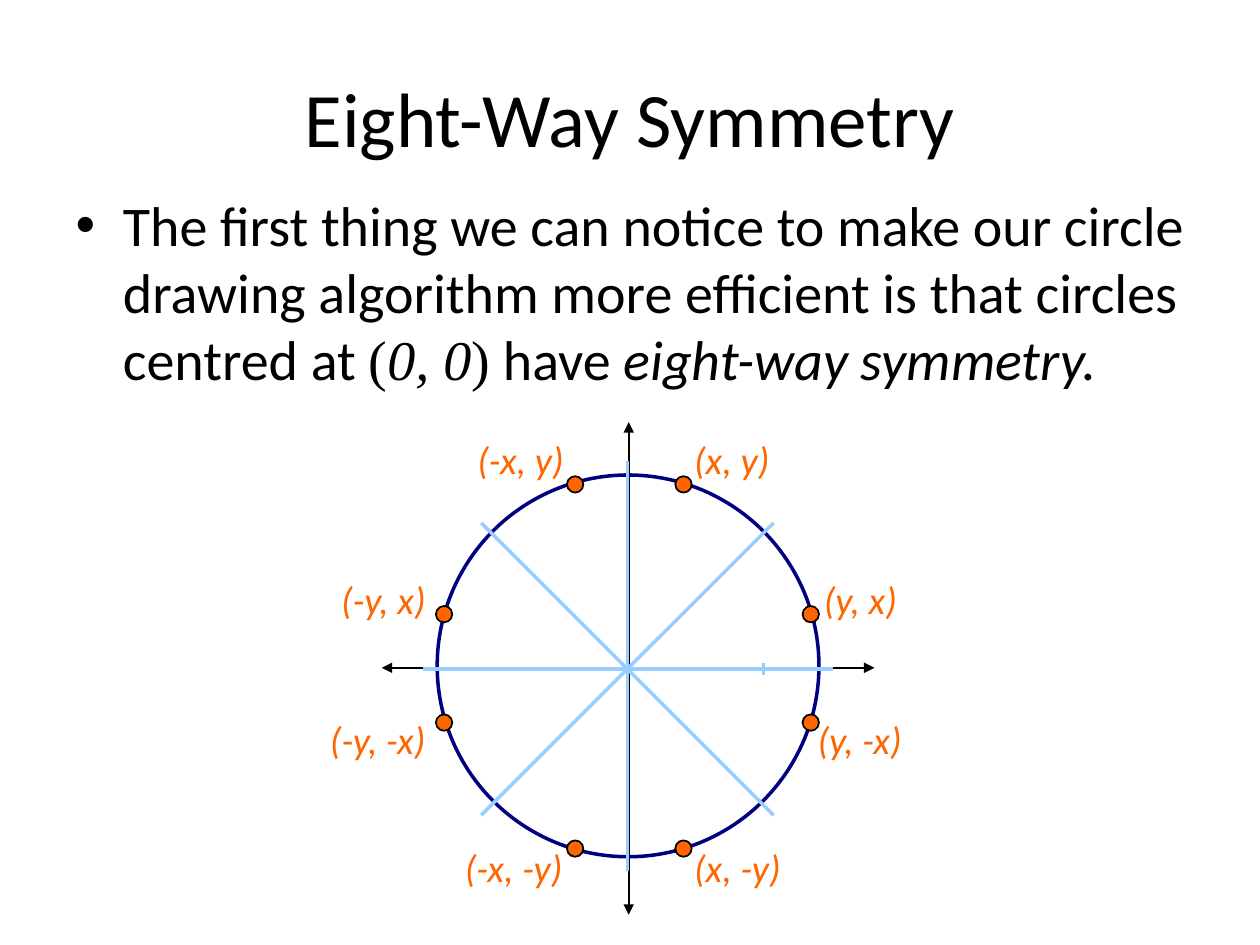
from lxml.etree import SubElement
from pptx import Presentation
from pptx.dml.color import RGBColor
from pptx.enum.shapes import MSO_CONNECTOR as Connector, MSO_SHAPE as Shape
from pptx.enum.text import MSO_AUTO_SIZE as AutoSize, PP_ALIGN as Align
from pptx.oxml.ns import qn
from pptx.util import Pt

PX = 9144  # 100 px to the inch
BLACK, NAVY, ORANGE, SKY = "000000", "000080", "FF6600", "99CCFF"
DOT = 13
LABEL_HEIGHT = 47

# label, dot left and top, label left, top and width
SYMMETRIC_POINTS = [
    ("(x, y)", 284, 43, 289, 6, 85),
    ("(-x, y)", 198, 43, 117, 6, 95),
    ("(y, x)", 385, 146, 392, 117, 85),
    ("(-y, x)", 94, 146, 9, 117, 95),
    ("(y, -x)", 385, 232, 387, 228, 95),
    ("(-y, -x)", 94, 232, 0, 228, 105),
    ("(x, -y)", 284, 332, 289, 330, 95),
    ("(-x, -y)", 198, 332, 107, 330, 105),
]
AXES = [(247, 391, 247, 0), (51, 195, 442, 195)]
SYMMETRY_LINES = [
    (130, 312, 362, 80),
    (354, 191, 354, 201),
    (362, 312, 130, 80),
    (246, 356, 246, 31),
    (84, 196, 409, 196),
]


def px(*lengths):
    return [length * PX for length in lengths]


def color(hex_value):
    return RGBColor.from_string(hex_value)


def add_run(paragraph, text, hex_value=BLACK, **font_format):
    run = paragraph.add_run()
    run.text = text
    run.font.color.rgb = color(hex_value)
    for name, value in font_format.items():
        setattr(run.font, name, value)


def move(placeholder, box):
    for name, value in zip(("left", "top", "width", "height"), px(*box)):
        setattr(placeholder, name, value)


def add_title(slide, box):
    title = slide.shapes.title
    move(title, box)
    paragraph = title.text_frame.paragraphs[0]
    paragraph.alignment = Align.CENTER
    add_run(paragraph, "Eight-Way Symmetry", size=Pt(44), name="Calibri")


def add_body(slide, box):
    body = slide.placeholders[1]
    move(body, box)
    paragraph = body.text_frame.paragraphs[0]
    paragraph.space_before = Pt(0)
    sans, serif = "Calibri", "Times New Roman"
    for text, font, italic in [
        ("The first thing we can notice to make our circle drawing algorithm "
         "more efficient is that circles centred at ", sans, False),
        ("(", serif, False),
        ("0, 0", serif, True),
        (")", serif, False),
        (" have ", sans, False),
        ("eight-way symmetry.", sans, True),
    ]:
        add_run(paragraph, text, size=Pt(32), name=font, italic=italic)


def add_line(shapes, ends, hex_value, width, arrows=False):
    line = shapes.add_connector(Connector.STRAIGHT, *px(*ends))
    line.line.color.rgb = color(hex_value)
    line.line.width = Pt(width)
    properties = line._element.spPr
    if arrows:
        outline = properties.find(qn("a:ln"))
        for end in ("a:headEnd", "a:tailEnd"):
            SubElement(outline, qn(end), type="triangle")
    SubElement(properties, qn("a:effectLst"))


def add_ellipse(shapes, box, line_hex, width, fill_hex=None):
    ellipse = shapes.add_shape(Shape.OVAL, *px(*box))
    ellipse.shadow.inherit = False
    ellipse.line.color.rgb = color(line_hex)
    ellipse.line.width = Pt(width)
    if fill_hex:
        ellipse.fill.solid()
        ellipse.fill.fore_color.rgb = color(fill_hex)
    else:
        ellipse.fill.background()


def add_label(shapes, text, box):
    frame = shapes.add_textbox(*px(*box)).text_frame
    frame.word_wrap = False
    frame.auto_size = AutoSize.SHAPE_TO_FIT_TEXT
    add_run(frame.paragraphs[0], text, ORANGE,
            size=Pt(22), name="Calibri", italic=True)


def add_circle_diagram(slide, left, top):
    shapes = slide.shapes.add_group_shape().shapes

    def line_ends(x1, y1, x2, y2):
        return left + x1, top + y1, left + x2, top + y2

    # Axes and circle
    for axis in AXES:
        add_line(shapes, line_ends(*axis), BLACK, 1, arrows=True)
    add_ellipse(shapes, (left + 95, top + 42, 303, 303), NAVY, 2)

    # Eight symmetric points with their labels
    for text, dot_x, dot_y, label_x, label_y, label_width in SYMMETRIC_POINTS:
        add_ellipse(shapes, (left + dot_x, top + dot_y, DOT, DOT),
                    BLACK, 1, ORANGE)
        add_label(shapes, text, (left + label_x, top + label_y,
                                 label_width, LABEL_HEIGHT))

    # Lines of symmetry
    for symmetry_line in SYMMETRY_LINES:
        add_line(shapes, line_ends(*symmetry_line), SKY, 2)


def main():
    deck = Presentation()
    deck.slide_width, deck.slide_height = px(1000, 750)
    slide = deck.slides.add_slide(deck.slide_layouts[1])
    add_title(slide, (50, 30, 900, 125))
    add_body(slide, (50, 146, 950, 604))
    add_circle_diagram(slide, 252, 335)
    deck.save("out.pptx")


if __name__ == "__main__":
    main()
